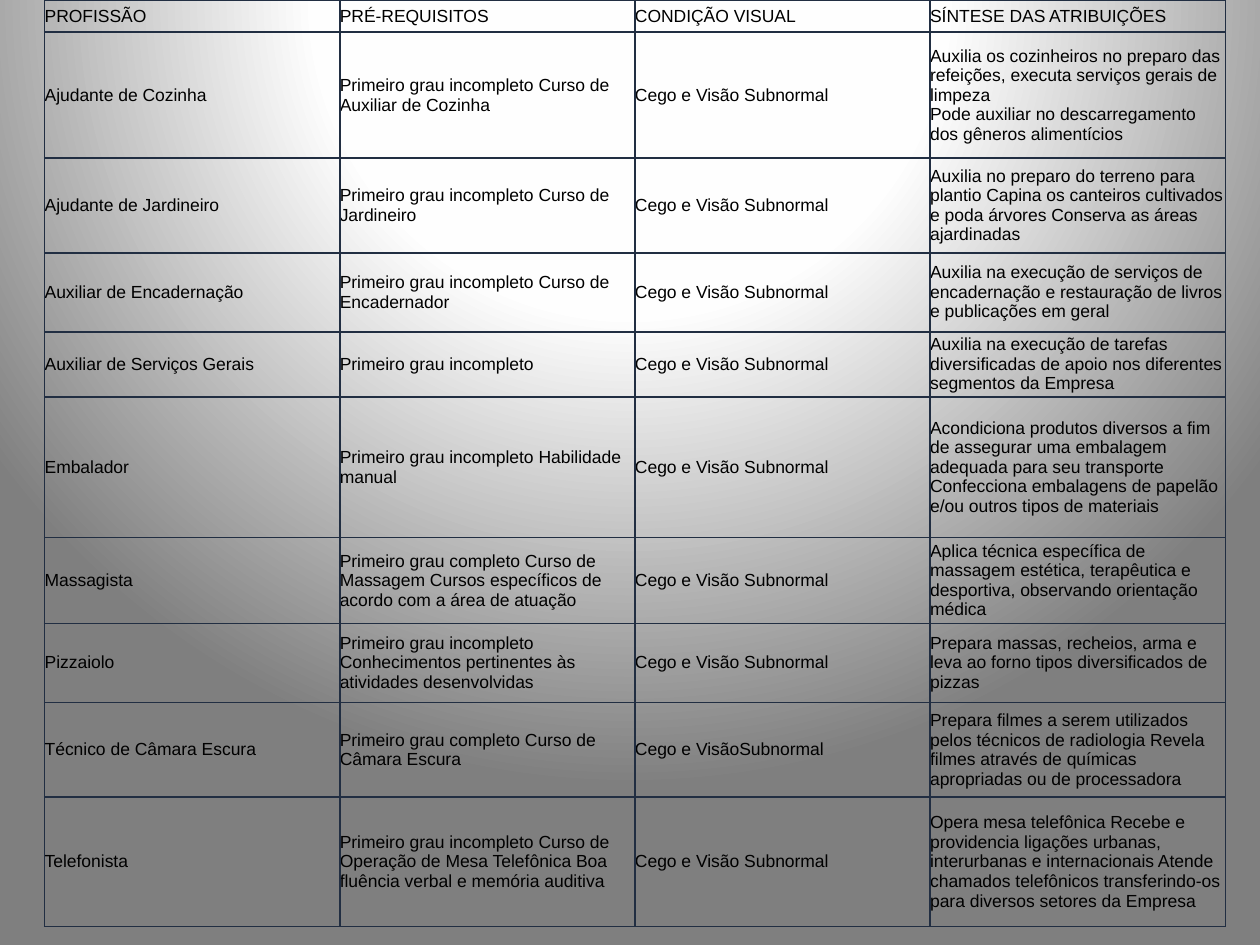
from copy import deepcopy
from dataclasses import dataclass

from pptx import Presentation
from pptx.dml.color import RGBColor
from pptx.enum.text import MSO_ANCHOR
from pptx.oxml import parse_xml
from pptx.oxml.ns import nsdecls, qn
from pptx.util import Cm, Pt


@dataclass(frozen=True)
class Theme:
    font: str = "Arial"
    text_size: float = 10
    text: str = "000000"
    border: str = "212E42"
    border_width: float = 1
    # Background gradient: (position in percent, colour)
    background: tuple = ((0, "FFFFFF"), (40, "FEFEFE"), (100, "7F7F7F"))


@dataclass(frozen=True)
class Job:
    height: float  # row height in cm
    profession: str
    requirements: str
    duties: str
    vision: str = "Cego e Visão Subnormal"

    def texts(self) -> tuple:
        return self.profession, self.requirements, self.vision, self.duties


THEME = Theme()
TABLE_LEFT, COLUMN_WIDTH = 0.9, 5.95

JOBS = [
    Job(0.65, "PROFISSÃO", "PRÉ-REQUISITOS", "SÍNTESE DAS ATRIBUIÇÕES", "CONDIÇÃO VISUAL"),
    Job(2.54, "Ajudante de Cozinha",
        "Primeiro grau incompleto Curso de Auxiliar de Cozinha",
        "Auxilia os cozinheiros no preparo das refeições, executa serviços gerais de limpeza "
        "\vPode auxiliar no descarregamento dos gêneros alimentícios"),
    Job(1.91, "Ajudante de Jardineiro",
        "Primeiro grau incompleto Curso de Jardineiro",
        "Auxilia no preparo do terreno para plantio Capina os canteiros cultivados "
        "e poda árvores Conserva as áreas ajardinadas"),
    Job(1.59, "Auxiliar de Encadernação",
        "Primeiro grau incompleto Curso de Encadernador",
        "Auxilia na execução de serviços de encadernação e restauração de livros "
        "e publicações em geral"),
    Job(1.31, "Auxiliar de Serviços Gerais",
        "Primeiro grau incompleto",
        "Auxilia na execução de tarefas diversificadas de apoio nos diferentes "
        "segmentos da Empresa"),
    Job(2.84, "Embalador",
        "Primeiro grau incompleto Habilidade manual",
        "Acondiciona produtos diversos a fim de assegurar uma embalagem adequada para seu "
        "transporte Confecciona embalagens de papelão e/ou outros tipos de materiais"),
    Job(1.73, "Massagista",
        "Primeiro grau completo Curso de Massagem Cursos específicos de acordo com "
        "a área de atuação",
        "Aplica técnica específica de massagem estética, terapêutica e desportiva, "
        "observando orientação médica"),
    Job(1.59, "Pizzaiolo",
        "Primeiro grau incompleto Conhecimentos pertinentes às atividades desenvolvidas",
        "Prepara massas, recheios, arma e leva ao forno tipos diversificados de pizzas"),
    Job(1.91, "Técnico de Câmara Escura",
        "Primeiro grau completo Curso de Câmara Escura",
        "Prepara filmes a serem utilizados pelos técnicos de radiologia Revela filmes "
        "através de químicas apropriadas ou de processadora",
        "Cego e VisãoSubnormal"),
    Job(2.61, "Telefonista",
        "Primeiro grau incompleto Curso de Operação de Mesa Telefônica Boa fluência verbal "
        "e memória auditiva",
        "Opera mesa telefônica Recebe e providencia ligações urbanas, interurbanas e "
        "internacionais Atende chamados telefônicos transferindo-os para diversos setores "
        "da Empresa"),
]


def set_background(slide) -> None:
    """Circular gradient centred above the slide."""
    stops = "".join(
        f'<a:gs pos="{position * 1000}"><a:srgbClr val="{colour}"/></a:gs>'
        for position, colour in THEME.background)
    slide.element.cSld.insert(0, parse_xml(
        f'<p:bg {nsdecls("p", "a")}><p:bgPr><a:gradFill rotWithShape="1">'
        f'<a:gsLst>{stops}</a:gsLst><a:path path="circle">'
        '<a:fillToRect l="50000" t="-80000" r="50000" b="180000"/></a:path>'
        '</a:gradFill><a:effectLst/></p:bgPr></p:bg>'))


def set_borders(cell) -> None:
    properties = cell._tc.get_or_add_tcPr()
    for index, side in enumerate(("lnL", "lnR", "lnT", "lnB")):
        properties.insert(index, parse_xml(
            f'<a:{side} {nsdecls("a")} w="{Pt(THEME.border_width)}"><a:solidFill>'
            f'<a:srgbClr val="{THEME.border}"/></a:solidFill></a:{side}>'))


def write_cell(cell, text: str) -> None:
    cell.margin_left = cell.margin_right = cell.margin_top = cell.margin_bottom = 0
    cell.vertical_anchor = MSO_ANCHOR.MIDDLE
    cell.fill.background()
    set_borders(cell)
    cell.text_frame.text = text
    paragraph = cell.text_frame.paragraphs[0]
    for run in paragraph.runs:
        run.font.name = THEME.font
        run.font.size = Pt(THEME.text_size)
        run.font.color.rgb = RGBColor.from_string(THEME.text)
    # Line breaks take the same type size as the text
    for line_break in paragraph._p.findall(qn("a:br")):
        line_break.append(deepcopy(paragraph.runs[0]._r.rPr))


def add_job_table(slide, jobs: list[Job]) -> None:
    columns = len(jobs[0].texts())
    table = slide.shapes.add_table(
        len(jobs), columns, Cm(TABLE_LEFT), 0,
        Cm(columns * COLUMN_WIDTH), Cm(sum(job.height for job in jobs))).table
    table.first_row = table.horz_banding = False
    for column in table.columns:
        column.width = Cm(COLUMN_WIDTH)
    for row, job in zip(table.rows, jobs):
        row.height = Cm(job.height)
        for cell, text in zip(row.cells, job.texts()):
            write_cell(cell, text)


def main() -> None:
    presentation = Presentation()
    presentation.slide_width, presentation.slide_height = Cm(25.4), Cm(19.05)
    # Blank layout: the slide has no title
    slide = presentation.slides.add_slide(presentation.slide_layouts[6])
    set_background(slide)
    add_job_table(slide, JOBS)
    presentation.save("out.pptx")


if __name__ == "__main__":
    main()
